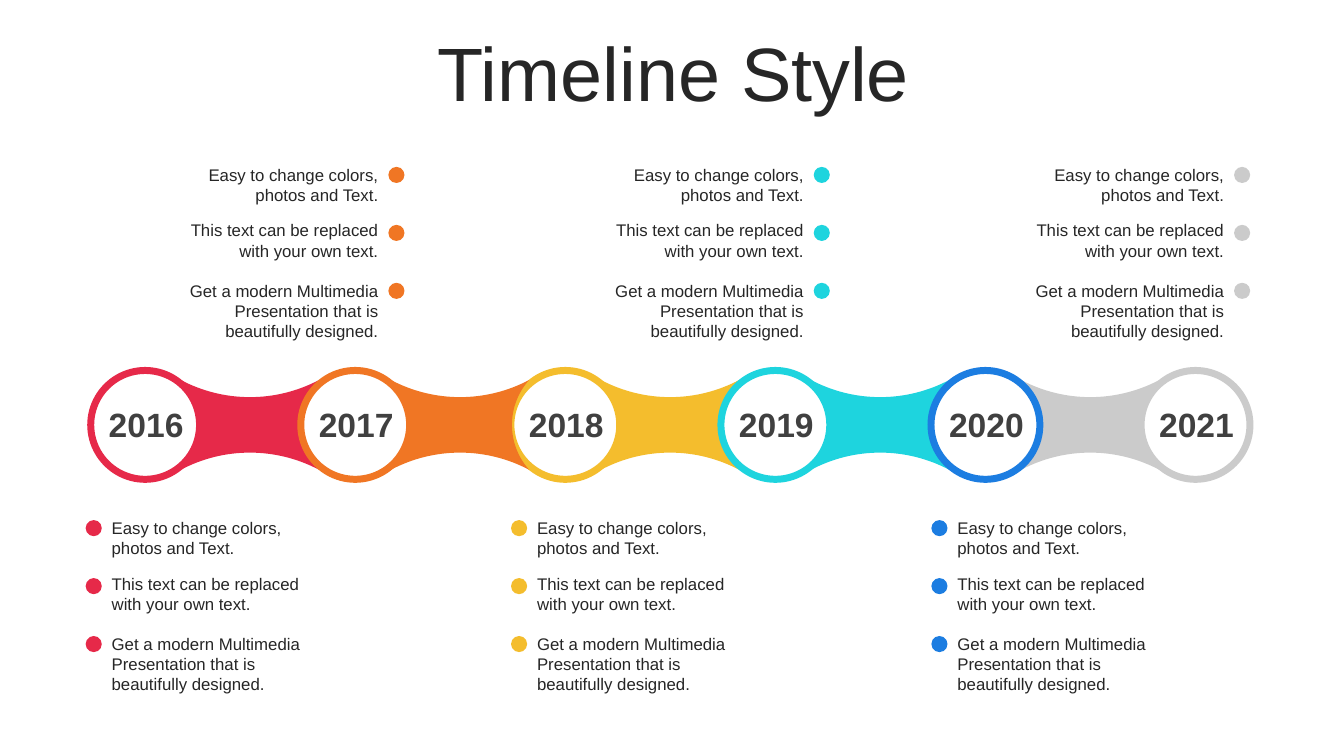
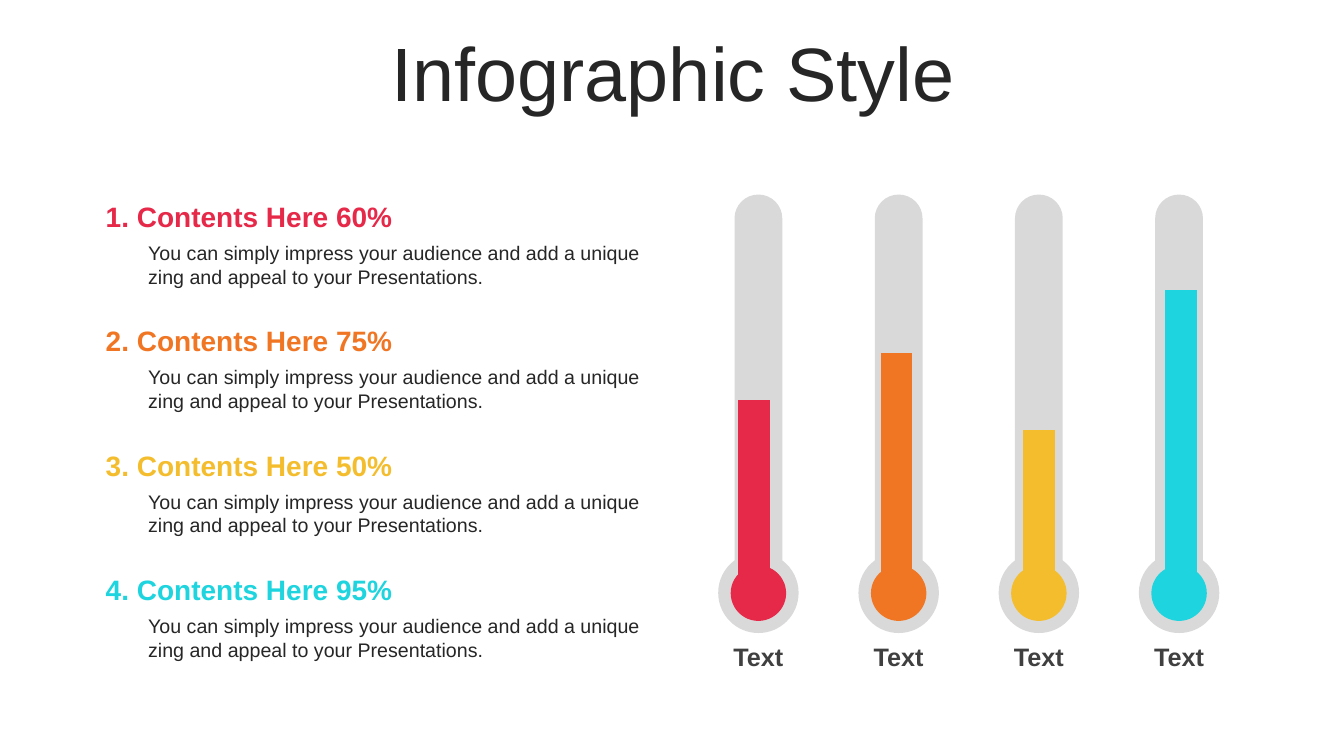
from math import atan, cos, hypot, pi, sin, tan

from pptx import Presentation
from pptx.chart.data import CategoryChartData
from pptx.dml.color import RGBColor
from pptx.enum.chart import XL_CHART_TYPE
from pptx.enum.shapes import MSO_SHAPE
from pptx.enum.text import MSO_ANCHOR, PP_ALIGN
from pptx.oxml.ns import qn
from pptx.util import Inches, Pt

LEFT, CENTER, RIGHT = PP_ALIGN.LEFT, PP_ALIGN.CENTER, PP_ALIGN.RIGHT
TOP, MIDDLE = MSO_ANCHOR.TOP, MSO_ANCHOR.MIDDLE
OVAL = MSO_SHAPE.OVAL
COLUMNS = XL_CHART_TYPE.COLUMN_CLUSTERED

FONT = "Arial"
RED, ORANGE, YELLOW = "E62949", "F07624", "F4BD2D"
CYAN, BLUE, SILVER = "1ED4DE", "1C7DE1", "CBCBCB"
WHITE, TUBE, INK, LABEL = "FFFFFF", "D9D9D9", "262626", "404040"

# All places are in grid columns and rows of a tenth of an inch
SLIDE_COLUMNS, SLIDE_ROWS = 133.33, 75

TIPS = [
    "Easy to change colors, photos and Text.",
    "This text can be replaced with your own text.",
    "Get a modern Multimedia Presentation that is beautifully designed.",
]
BODY = ("You can simply impress your audience and add a unique "
        "zing and appeal to your Presentations.")


def grid(cells):
    return Inches(cells / 10)


def color(hex_string):
    return RGBColor.from_string(hex_string)


def paint(shape, fill, line=None, line_width=5):
    shape.shadow.inherit = False
    shape.fill.solid()
    shape.fill.fore_color.rgb = color(fill)
    if line:
        shape.line.color.rgb = color(line)
        shape.line.width = Pt(line_width)
    else:
        shape.line.fill.background()


def add_circle(slide, left, top, size, fill, line=None):
    shape = slide.shapes.add_shape(OVAL, grid(left), grid(top), grid(size), grid(size))
    paint(shape, fill, line)


def add_text(slide, box, text, size, ink=INK, bold=False, align=LEFT,
             anchor=TOP, insets=(1, 0.5), line_spacing=None):
    shape = slide.shapes.add_textbox(*map(grid, box))
    frame = shape.text_frame
    frame.word_wrap = True
    frame.vertical_anchor = anchor
    frame.margin_left = frame.margin_right = grid(insets[0])
    frame.margin_top = frame.margin_bottom = grid(insets[1])
    frame.text = text
    paragraph = frame.paragraphs[0]
    paragraph.alignment = align
    paragraph.line_spacing = line_spacing
    font = paragraph.runs[0].font
    font.name, font.size, font.bold = FONT, Pt(size), bold
    font.color.rgb = color(ink)


def arc(start, end, bulge):
    """Cubic segments of a circular arc; a positive bulge lies left of its direction."""
    chord = hypot(end[0] - start[0], end[1] - start[1])
    along = ((end[0] - start[0]) / chord, (end[1] - start[1]) / chord)
    normal = (along[1], -along[0])
    radius = (chord ** 2 / 4 + bulge ** 2) / (2 * bulge)
    half_angle = 2 * atan(2 * bulge / chord)
    sign = 1 if bulge > 0 else -1
    quarters = [sign * turn * pi / 2 for turn in (-1, 0, 1)]
    stops = [-half_angle, half_angle]
    stops[1:1] = [stop for stop in quarters if abs(stop) < abs(half_angle) - 0.01]

    def place(angle, pull=0):
        across = bulge - radius + radius * (cos(angle) - pull * sin(angle))
        forward = radius * (sin(angle) + pull * cos(angle))
        return tuple((start[axis] + end[axis]) / 2 + normal[axis] * across
                     + along[axis] * forward for axis in (0, 1))

    segments = []
    for first, last in zip(stops, stops[1:]):
        pull = 4 / 3 * tan((last - first) / 4)
        segments.append((place(first, pull), place(last, -pull), place(last)))
    return segments


def add_outline(slide, start, segments, fill):
    """A closed outline; segments of three points become cubic curves."""
    points = [(grid(x), grid(y)) for segment in segments for x, y in segment]
    builder = slide.shapes.build_freeform(*map(grid, start), scale=1.0)
    builder.add_line_segments(points, close=True)
    shape = builder.convert_to_shape()
    lines = iter(list(shape.element.iter(qn("a:lnTo"))))
    for segment in segments:
        pieces = [next(lines) for _ in segment]
        if len(pieces) == 3:
            pieces[0].tag = qn("a:cubicBezTo")
            for piece in pieces[1:]:
                pieces[0].append(piece[0])
                piece.getparent().remove(piece)
    paint(shape, fill)


def new_slide(presentation, title):
    slide = presentation.slides.add_slide(presentation.slide_layouts[6])
    add_text(slide, (3.5, 3.7, 126.6, 7.9), title, 54, align=CENTER,
             anchor=MIDDLE, line_spacing=0.9)
    return slide


# Timeline parts
def add_band(slide, left, top, fill, width=13.7, height=8.9):
    right, bottom = left + width, top + height
    corners = [(left, top), (right, top), (right, bottom), (left, bottom)]
    segments = []
    for index, corner in enumerate(corners):
        segments += arc(corner, corners[(index + 1) % 4], -1.7)
    add_outline(slide, corners[0], segments, fill)


def add_timeline(slide, left, middle, pitch, years):
    """Bands join neighbouring year circles; the orange one lies on top."""
    size = 10.8
    bands = [RED, ORANGE, YELLOW, CYAN, SILVER]

    def band(index):
        center = left + size / 2 + index * pitch
        add_band(slide, center + 3.55, middle - 4.45, bands[index])

    for index in (0, 2, 3, 4):
        band(index)
    for index, (_, ring) in enumerate(years):
        add_circle(slide, left + index * pitch, middle - size / 2, size, WHITE, ring)
    band(1)
    for index, (year, _) in enumerate(years):
        add_text(slide, (left - 0.5 + index * pitch, middle - 2.05, 12, 4), year, 24,
                 LABEL, True, CENTER, insets=(0, 0))


def add_tips(slide, left, top, fill, align):
    """Three tips, with dots on the side the text is aligned to."""
    dot, width = 1.6, 21.6
    text_left, dot_left = (left + dot, left) if align == LEFT else (left, left + width)
    rows = [(0, 5), (5.5, 5), (11.45, 7.1)]
    for index, (tip, (row, height)) in enumerate(zip(TIPS, rows)):
        add_text(slide, (text_left, top + row, width, height), tip, 12, align=align)
        add_circle(slide, dot_left, top + 0.7 + index * 5.75, dot, fill)


def timeline_slide(presentation):
    slide = new_slide(presentation, "Timeline Style")
    rings = [RED, ORANGE, YELLOW, CYAN, BLUE, SILVER]
    years = [(str(2016 + index), ring) for index, ring in enumerate(rings)]
    add_timeline(slide, 9, 42.15, 20.84, years)
    for left, lower, upper in zip((8.5, 50.7, 92.4), rings[::2], rings[1::2]):
        add_tips(slide, left, 50.9, lower, LEFT)
        add_tips(slide, left + 8.43, 15.86, upper, RIGHT)


# Infographic parts
def add_thermometer(slide, left, top, fill):
    center, stem, neck = left + 3.97, 2.37, top + 36.3
    shoulder = (center - stem, top + stem)
    cap = arc(shoulder, (center + stem, top + stem), stem)
    bulb = arc((center + stem, neck), (center - stem, neck), 7.2)
    side = [((center + stem, neck),)]
    add_outline(slide, shoulder, cap + side + bulb, TUBE)
    add_circle(slide, center - 2.75, top + 36.8, 5.5, fill)
    add_text(slide, (center - 4.5, top + 43.85, 9, 4), "Text", 18, LABEL, True, CENTER)


def add_content(slide, left, top, heading, ink):
    add_text(slide, (left + 4.4, top + 4.12, 52.7, 5.7), BODY, 14, insets=(0.8, 0.5))
    add_text(slide, (left, top, 57.2, 4.4), heading, 20, ink, True)


def add_level_chart(slide, box, values, fills):
    data = CategoryChartData()
    data.categories = [str(number) for number in range(1, len(values) + 1)]
    data.add_series("Series 1", values)
    chart = slide.shapes.add_chart(COLUMNS, *map(grid, box), data).chart
    chart.has_title = chart.has_legend = False
    chart.font.name, chart.font.size = FONT, Pt(10)
    chart.font.color.rgb = color("000000")
    for axis in (chart.category_axis, chart.value_axis):
        axis.has_major_gridlines = False
        axis.visible = False
    chart.value_axis.minimum_scale, chart.value_axis.maximum_scale = 0, 105
    plot = chart.plots[0]
    plot.gap_width = 350
    plot.vary_by_categories = False
    for index, fill in enumerate(fills):
        bar = plot.series[0].points[index].format
        bar.fill.solid()
        bar.fill.fore_color.rgb = color(fill)


def infographic_slide(presentation):
    slide = new_slide(presentation, "Infographic Style")
    fills = [RED, ORANGE, YELLOW, CYAN]
    for index, (percent, fill) in enumerate(zip((60, 75, 50, 95), fills)):
        heading = f"{index + 1}. Contents Here {percent}%"
        add_content(slide, 9.5, 19.3 + index * 12.34, heading, fill)
        add_thermometer(slide, 71.27 + index * 13.91, 19.3, fill)
    add_level_chart(slide, (66.6, 26.7, 58.8, 32.2), (63, 79, 53, 100), fills)


def main():
    presentation = Presentation()
    presentation.slide_width = grid(SLIDE_COLUMNS)
    presentation.slide_height = grid(SLIDE_ROWS)
    timeline_slide(presentation)
    infographic_slide(presentation)
    presentation.save("out.pptx")


if __name__ == "__main__":
    main()
